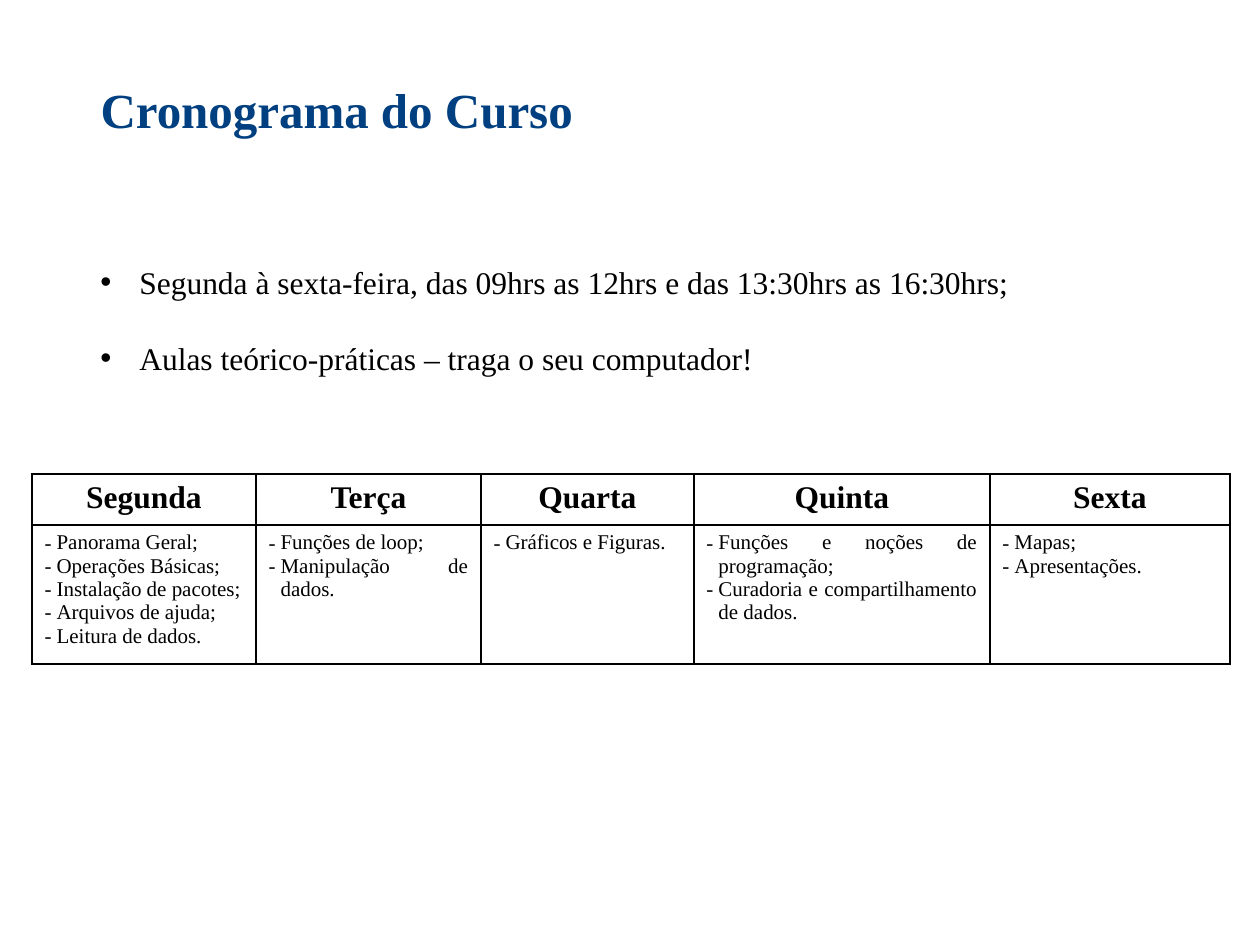
from lxml import etree
from pptx import Presentation
from pptx import util as u
from pptx.dml.color import RGBColor
from pptx.enum import text
from pptx.oxml.ns import qn

PX = u.Inches(1) // 126
FONT = "Times New Roman"
COLORS = {"title": "004080", "ink": "000000"}

NOTES = [
    "Segunda à sexta-feira, das 09hrs as 12hrs e das 13:30hrs as 16:30hrs;",
    "Aulas teórico-práticas – traga o seu computador!",
]
# Day, column width in px, topics
SCHEDULE = [
    ("Segunda", 224, ["Panorama Geral;", "Operações Básicas;", "Instalação de pacotes;",
                      "Arquivos de ajuda;", "Leitura de dados."]),
    ("Terça", 225, ["Funções de loop;", "Manipulação de dados."]),
    ("Quarta", 213, ["Gráficos e Figuras."]),
    ("Quinta", 296, ["Funções e noções de programação;",
                     "Curadoria e compartilhamento de dados."]),
    ("Sexta", 240, ["Mapas;", "Apresentações."]),
]
ROW_HEIGHTS = [51, 139]


def px(*lengths):
    return [length * PX for length in lengths]


def add_span(para, words, size, color="ink", bold=False):
    span = para.add_run()
    span.text = words
    span.font.name = FONT
    span.font.size = u.Pt(size)
    span.font.bold = bold
    span.font.color.rgb = RGBColor.from_string(COLORS[color])


def set_bullet(para, mark, font, indent):
    """Give the paragraph a bullet character with a hanging indent in px."""
    props = para._p.get_or_add_pPr()
    props.set("marL", str(indent * PX))
    props.set("indent", str(-indent * PX))
    etree.SubElement(props, qn("a:buFont"), typeface=font)
    etree.SubElement(props, qn("a:buChar"), char=mark)


def add_bullets(frame, items, size, mark, font, indent, align, spacing=None):
    for index, item in enumerate(items):
        para = frame.add_paragraph() if index else frame.paragraphs[0]
        para.alignment = align
        if spacing:
            para.line_spacing = spacing
        set_bullet(para, mark, font, indent)
        add_span(para, item, size)


def set_borders(cell):
    props = cell._tc.get_or_add_tcPr()
    for side in ("lnL", "lnR", "lnT", "lnB"):
        line = etree.SubElement(props, qn(f"a:{side}"), w=str(u.Pt(1)))
        fill = etree.SubElement(line, qn("a:solidFill"))
        etree.SubElement(fill, qn("a:srgbClr"), val=COLORS["ink"])


def add_title(page, words):
    title = page.shapes.title
    title.left, title.top, title.width, title.height = px(88, 73, 503, 72)
    frame = title.text_frame
    frame.word_wrap = False
    frame.auto_size = text.MSO_AUTO_SIZE.SHAPE_TO_FIT_TEXT
    frame.vertical_anchor = text.MSO_ANCHOR.TOP
    para = frame.paragraphs[0]
    para.alignment = text.PP_ALIGN.LEFT
    add_span(para, words, 28, "title", bold=True)


def add_schedule(page):
    widths = [width for _, width, _ in SCHEDULE]
    frame = page.shapes.add_table(2, len(SCHEDULE),
                                  *px(32, 474, sum(widths), sum(ROW_HEIGHTS)))
    table = frame.table
    table.first_row = table.horz_banding = False
    for row, height in zip(table.rows, ROW_HEIGHTS):
        row.height = height * PX
    for index, (day, width, topics) in enumerate(SCHEDULE):
        table.columns[index].width = width * PX
        header, body = table.cell(0, index), table.cell(1, index)
        for cell in (header, body):
            set_borders(cell)
            cell.fill.background()
        para = header.text_frame.paragraphs[0]
        para.alignment = text.PP_ALIGN.CENTER
        add_span(para, day, 18, bold=True)
        add_bullets(body.text_frame, topics, 12, "-", FONT, 12, text.PP_ALIGN.JUSTIFY)


def add_notes(page):
    box = page.shapes.add_textbox(*px(88, 219, 1148, 159))
    frame = box.text_frame
    frame.word_wrap = True
    frame.auto_size = text.MSO_AUTO_SIZE.SHAPE_TO_FIT_TEXT
    add_bullets(frame, NOTES, 18, "•", "Arial", 39, text.PP_ALIGN.LEFT, spacing=2.0)


def main():
    deck = Presentation()
    deck.slide_width, deck.slide_height = px(1260, 945)
    page = deck.slides.add_slide(deck.slide_layouts[5])
    add_title(page, "Cronograma do Curso")
    add_schedule(page)
    add_notes(page)
    deck.save("out.pptx")


if __name__ == "__main__":
    main()
